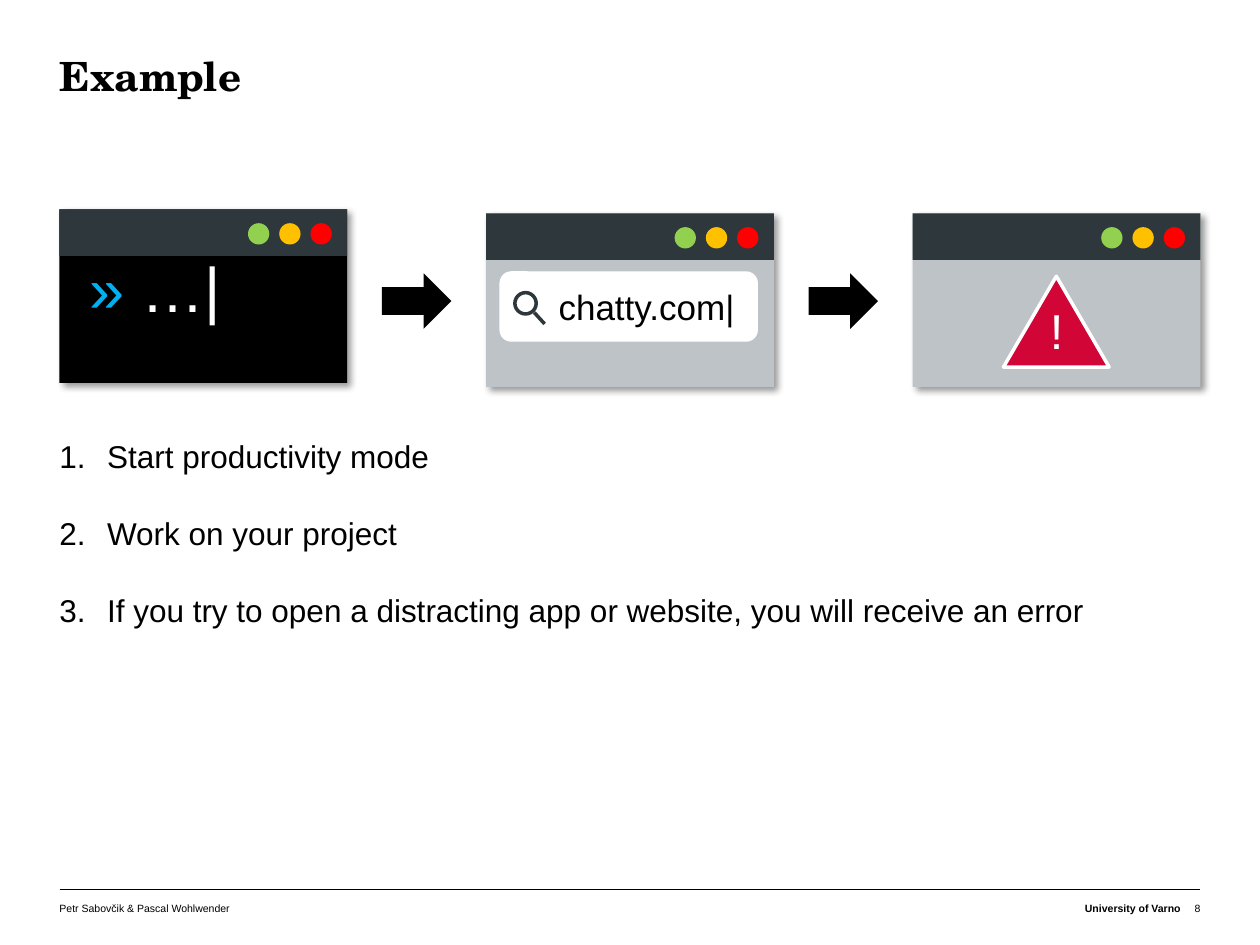
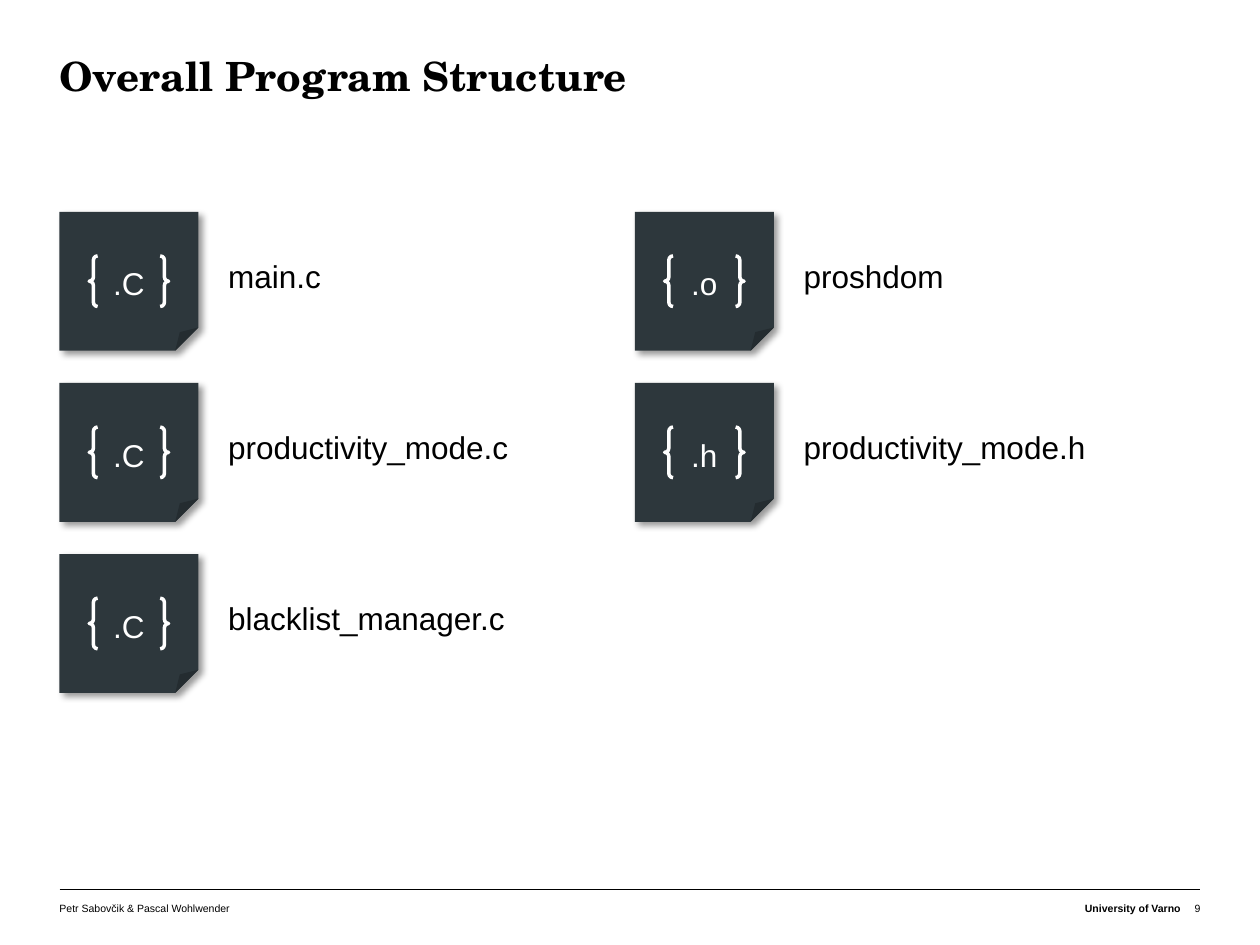
from lxml.etree import SubElement
from pptx import Presentation
from pptx.dml.color import RGBColor
from pptx.enum.shapes import MSO_CONNECTOR as LINE, MSO_SHAPE as SHAPE
from pptx.enum.text import MSO_ANCHOR as ANCHOR, PP_ALIGN as ALIGN
from pptx.oxml.ns import qn
from pptx.util import Cm, Pt

COLORS = {
    "black": "000000", "white": "FFFFFF", "slate": "2D373C", "grey": "BEC3C8",
    "green": "92D050", "amber": "FFC000", "red": "FF0000",
    "sky": "00B0F0", "alert": "D20537",
}
SANS, SERIF = "Arial", "TeX Gyre Schola"

AUTHORS = "Petr Sabovčik & Pascal Wohlwender"
SCHOOL = "University of Varno"
EXAMPLE = ("Example", 8)
STRUCTURE = ("Overall Program Structure", 9)
PROMPT = [("»", "sky"), (" …|", "white")]
ADDRESS = "chatty.com|"
STEPS = [
    "Start productivity mode",
    "Work on your project",
    "If you try to open a distracting app or website, you will receive an error",
]
FILE_COLUMNS = [
    [(".C", "main.c"), (".C", "productivity_mode.c"), (".C", "blacklist_manager.c")],
    [(".o", "proshdom"), (".h", "productivity_mode.h")],
]

LEFT, WIDTH = 1.2, 23
WINDOW_W, WINDOW_H, WINDOW_STEP = 5.8, 3.5, 8.6
ARROW_W, ARROW_H = 1.4, 1.12
ICON, ICON_TOP, ICON_STEP, COLUMN_STEP = 2.8, 4.27, 3.45, 11.6


def rgb(name):
    return RGBColor.from_string(COLORS[name])


def cm(*values):
    return [Cm(v) for v in values]


def write(tf, paragraphs, size=18, color="black", font=SANS, bold=False,
          align=ALIGN.LEFT, spacing=None, after=0):
    if isinstance(paragraphs, str):
        paragraphs = [paragraphs]
    for i, runs in enumerate(paragraphs):
        p = tf.paragraphs[0] if i == 0 else tf.add_paragraph()
        p.alignment = align
        p.space_after = Pt(after)
        if spacing:
            p.line_spacing = Pt(spacing)
        for text, run_color in [(runs, color)] if isinstance(runs, str) else runs:
            r = p.add_run()
            r.text = text
            r.font.size, r.font.name, r.font.bold = Pt(size), font, bold
            r.font.color.rgb = rgb(run_color)


def add_text(shapes, text, box, top_inset=0, **style):
    tf = shapes.add_textbox(*cm(*box)).text_frame
    tf.word_wrap = True
    tf.margin_left = tf.margin_right = tf.margin_bottom = 0
    tf.margin_top = Cm(top_inset)
    write(tf, text, **style)
    return tf


def add_shape(shapes, kind, box, fill=None, line=None):
    sp = shapes.add_shape(kind, *cm(*box))
    sp.shadow.inherit = False
    if fill:
        sp.fill.solid()
        sp.fill.fore_color.rgb = rgb(fill)
    else:
        sp.fill.background()
    if line:
        sp.line.color.rgb = rgb(line)
        sp.line.width = Pt(2)
    else:
        sp.line.fill.background()
    return sp


def add_line(shapes, start, end, color, width):
    cx = shapes.add_connector(LINE.STRAIGHT, *cm(*start, *end))
    cx.line.color.rgb = rgb(color)
    cx.line.width = Pt(width)
    SubElement(cx._element.spPr, qn("a:effectLst"))


def drop_shadow(sp):
    effects = sp._element.spPr.find(qn("a:effectLst"))
    shadow = SubElement(effects, qn("a:outerShdw"), blurRad=str(Pt(4)),
                        dist=str(Pt(3)), dir="2700000", algn="tl", rotWithShape="0")
    color = SubElement(shadow, qn("a:srgbClr"), val=COLORS["black"])
    SubElement(color, qn("a:alpha"), val="40000")


def number(tf, indent):
    for p in tf.paragraphs:
        pPr = p._p.get_or_add_pPr()
        pPr.set("marL", str(Cm(indent)))
        pPr.set("indent", str(-Cm(indent)))
        SubElement(pPr, qn("a:buFont"), typeface="+mj-lt")
        SubElement(pPr, qn("a:buAutoNum"), type="arabicPeriod")


def add_page(prs, title, page):
    shapes = prs.slides.add_slide(prs.slide_layouts[6]).shapes
    add_line(shapes, (LEFT, 17.93), (LEFT + WIDTH, 17.93), "black", 0.25)
    add_text(shapes, title, (LEFT, 1.12, WIDTH, 2.1), size=23, font=SERIF,
             bold=True, spacing=25)
    for text, x, w, align, bold in [
        (AUTHORS, LEFT, 6, ALIGN.LEFT, False),
        (SCHOOL, 18.5, 5.3, ALIGN.RIGHT, True),
        (str(page), 23.8, 0.4, ALIGN.RIGHT, False),
    ]:
        add_text(shapes, text, (x, 18.14, w, 0.5), top_inset=0.05, size=6,
                 align=align, bold=bold)
    return shapes


def add_window(shapes, x, y, fill):
    group = shapes.add_group_shape().shapes
    drop_shadow(add_shape(group, SHAPE.RECTANGLE, (x, y, WINDOW_W, WINDOW_H), fill))
    add_shape(group, SHAPE.RECTANGLE, (x, y, WINDOW_W, 0.94), "slate")
    for i, color in enumerate(["green", "amber", "red"]):
        add_shape(group, SHAPE.OVAL, (x + 3.8 + i * 0.63, y + 0.28, 0.43, 0.43), color)
    return group


def fill_terminal(group, x, y):
    add_text(group, [PROMPT], (x + 0.6, y + 1.55, 4.52, 1.73), size=36, spacing=22)


def fill_browser(group, x, y):
    add_shape(group, SHAPE.ROUNDED_RECTANGLE, (x + 0.27, y + 1.17, 5.21, 1.42), "white")
    add_text(group, ADDRESS, (x + 1.46, y + 1.52, 3.61, 1.73), size=20, spacing=22)
    add_shape(group, SHAPE.OVAL, (x + 0.58, y + 1.6, 0.43, 0.43), line="slate")
    add_line(group, (x + 0.97, y + 2), (x + 1.18, y + 2.23), "slate", 2)


def fill_warning(group, x, y):
    sign = add_shape(group, SHAPE.ISOSCELES_TRIANGLE,
                     (x + 1.83, y + 1.27, 2.13, 1.83), "alert", "white")
    SubElement(sign.line._get_or_add_ln(), qn("a:round"))
    add_text(group, "!", (x + 2.4, y + 2.16, 1, 0.79), size=28, color="white",
             align=ALIGN.CENTER, spacing=22)


def add_file(shapes, x, y, extension, name):
    group = shapes.add_group_shape().shapes
    drop_shadow(add_shape(group, SHAPE.FOLDED_CORNER, (x, y, ICON, ICON), "slate"))
    braces = add_shape(group, SHAPE.DOUBLE_BRACE, (x + 0.6, y + 0.89, 1.6, 1.02),
                       line="white")
    braces.text_frame.vertical_anchor = ANCHOR.MIDDLE
    write(braces.text_frame, extension, color="white", align=ALIGN.CENTER)
    add_text(shapes, name, (x + 3.4, y + 0.89, 5.8, 0.79), spacing=22)


def build_example(prs):
    shapes = add_page(prs, *EXAMPLE)
    windows = [(4.22, "black", fill_terminal), (4.3, "grey", fill_browser),
               (4.3, "grey", fill_warning)]
    gap = WINDOW_STEP - WINDOW_W
    for i, (y, color, fill_window) in enumerate(windows):
        x = LEFT + i * WINDOW_STEP
        fill_window(add_window(shapes, x, y, color), x, y)
        if i:
            add_shape(shapes, SHAPE.RIGHT_ARROW,
                      (x - (gap + ARROW_W) / 2, 5.51, ARROW_W, ARROW_H), "black")
    number(add_text(shapes, STEPS, (LEFT, 8.79, WIDTH, 8.53), spacing=22, after=22), 0.96)


def build_structure(prs):
    shapes = add_page(prs, *STRUCTURE)
    for col, files in enumerate(FILE_COLUMNS):
        for row, (extension, name) in enumerate(files):
            add_file(shapes, LEFT + col * COLUMN_STEP, ICON_TOP + row * ICON_STEP,
                     extension, name)


def main():
    prs = Presentation()
    prs.slide_width, prs.slide_height = cm(25.4, 19.05)
    build_example(prs)
    build_structure(prs)
    prs.save("out.pptx")


if __name__ == "__main__":
    main()
